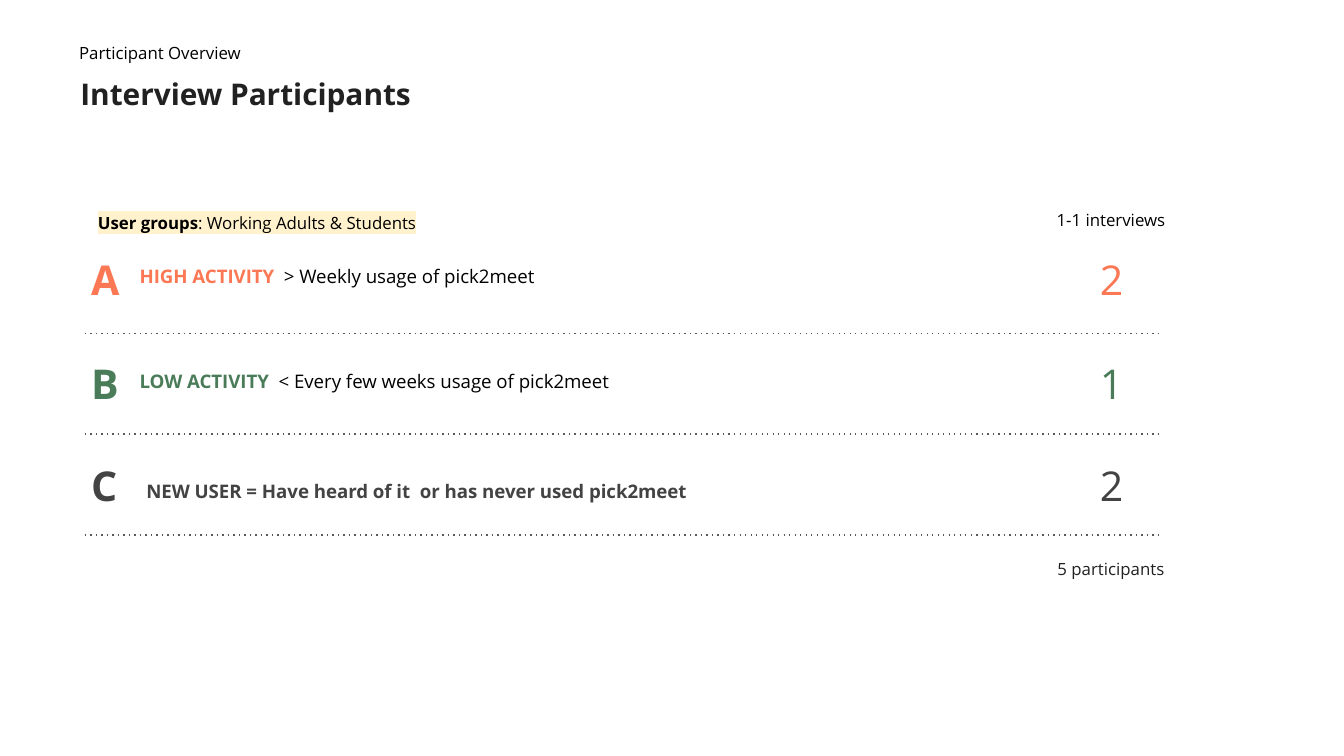
from lxml.etree import SubElement
from pptx import Presentation
from pptx.dml.color import RGBColor
from pptx.enum.shapes import MSO_CONNECTOR
from pptx.enum.text import MSO_ANCHOR, PP_ALIGN
from pptx.oxml.ns import qn
from pptx.util import Inches, Pt

COLORS = {
    "black": "000000",
    "ink": "212121",
    "high": "FC7753",
    "low": "4A7C59",
    "new": "434343",
    "rule": "595959",
    "mark": "FFF2CC",
}


class Deck:
    """Holds the font, the presentation and the current slide."""

    font = "Open Sans"

    def __init__(self):
        """Start a 16:9 presentation with one blank slide."""
        self.prs = Presentation()
        self.prs.slide_width = Inches(10)
        self.prs.slide_height = Inches(10 * 9 / 16)
        self.s = self.prs.slides.add_slide(self.prs.slide_layouts[6])

    def text(self, box, runs, size, anchor=MSO_ANCHOR.MIDDLE,
             align=PP_ALIGN.LEFT, spacing=None, after=None):
        """Add a text box whose runs are (text, color, bold) tuples."""
        sp = self.s.shapes.add_textbox(*(Inches(v) for v in box))
        tf = sp.text_frame
        tf.word_wrap = True
        tf.vertical_anchor = anchor
        tf.margin_left = tf.margin_right = Inches(0.1)
        tf.margin_top = tf.margin_bottom = Inches(0.1)
        p = tf.paragraphs[0]
        p.alignment = align
        p.line_spacing = spacing
        p.space_after = after
        for content, color, bold in runs:
            r = p.add_run()
            r.text = content
            r.font.size = Pt(size)
            r.font.bold = bold
            r.font.name = self.font
            r.font.color.rgb = RGBColor.from_string(COLORS[color])
        return p

    def highlight(self, p, color):
        """Mark every run of a paragraph with a background color."""
        for r in p.runs:
            rPr = r.font._element
            mark = SubElement(rPr, qn("a:highlight"))
            SubElement(mark, qn("a:srgbClr")).set("val", COLORS[color])
            rPr.find(qn("a:solidFill")).addnext(mark)

    def rule(self, left, right, y):
        """Add a dotted horizontal line."""
        ln = self.s.shapes.add_connector(
            MSO_CONNECTOR.STRAIGHT, Inches(left), Inches(y), Inches(right), Inches(y))
        ln.line.color.rgb = RGBColor.from_string(COLORS["rule"])
        ln.line.width = Pt(0.75)
        spPr = ln._element.spPr
        SubElement(spPr.find(qn("a:ln")), qn("a:prstDash")).set("val", "dot")
        SubElement(spPr, qn("a:effectLst"))


def main():
    """Build the participant overview slide."""
    deck = Deck()
    center = PP_ALIGN.CENTER
    top = MSO_ANCHOR.TOP

    deck.text((0.5, 0.6, 7, 0.2), [("Interview Participants", "ink", True)], 16)
    deck.text((0.49, 0.31, 4.51, 0.17), [("Participant Overview", "black", False)], 9)
    p = deck.text((0.63, 1.57, 2.61, 0.17),
                  [("User groups", "black", True),
                   (": Working Adults & Students", "black", False)], 9)
    deck.highlight(p, "mark")
    deck.text((7.32, 1.55, 1.89, 0.17), [("1-1 interviews", "black", False)], 9,
              align=center)

    groups = [
        ("A", "high", "2", 1.98, (0.94, 1.85, 4.51, 0.57),
         [("HIGH ACTIVITY  ", "high", True),
          ("> Weekly usage of pick2meet", "black", False)]),
        ("B", "low", "1", 2.75, (0.94, 2.63, 4.51, 0.44),
         [("LOW ACTIVITY  ", "low", True),
          ("< Every few weeks usage of pick2meet", "black", False)]),
        ("C", "new", "2", 3.51, (0.99, 3.45, 4.42, 0.31),
         [("NEW USER = Have heard of it  or has never used pick2meet", "new", True)]),
    ]
    for i, (letter, color, count, y, box, runs) in enumerate(groups):
        deck.text(box, runs, 10, anchor=top, spacing=1.15)
        deck.text((0.58, y, 0.59, 0.2), [(letter, color, True)], 22)
        deck.text((7.89, y, 0.76, 0.2), [(count, color, False)], 22, align=center)
        deck.rule(0.63, 8.63, 2.48 + 0.75 * i)

    deck.text((7.32, 4.08, 1.89, 0.31), [("5 participants", "ink", False)], 9,
              anchor=top, align=center, after=Pt(10))
    deck.prs.save("out.pptx")


if __name__ == "__main__":
    main()
